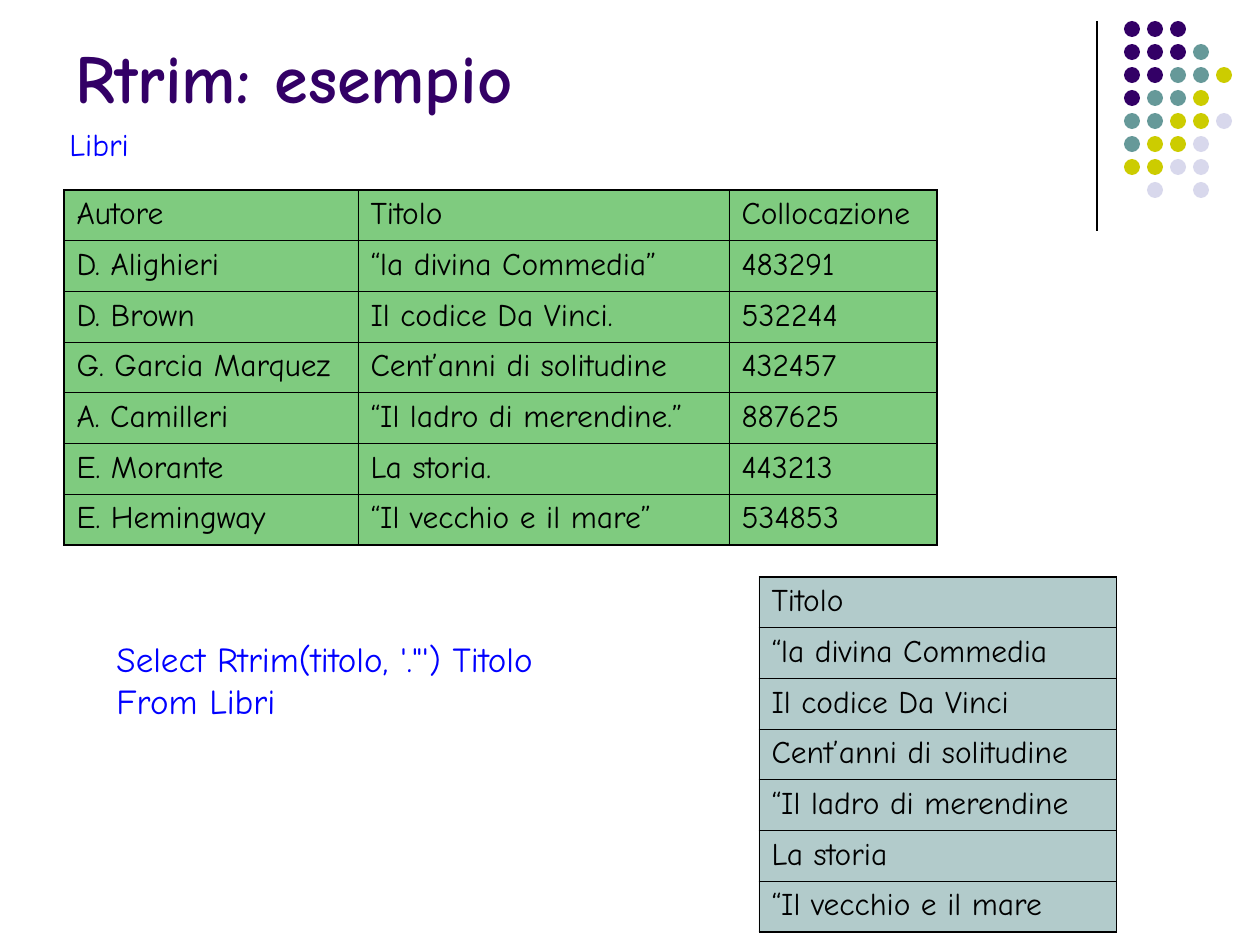
from lxml.etree import SubElement
from pptx import Presentation
from pptx.dml.color import RGBColor
from pptx.enum.shapes import MSO_CONNECTOR as Conn, MSO_SHAPE as Shape
from pptx.enum.text import MSO_ANCHOR as Anchor, MSO_AUTO_SIZE as Fit, PP_ALIGN as Align
from pptx.oxml import parse_xml
from pptx.oxml.ns import nsdecls, qn
from pptx.util import Pt

PX = 914400 / 126
FONT = "Comic Neue"
BLACK, BLUE, PURPLE, TEAL = "000000", "0000FF", "330066", "669999"
THIN, THICK = 0.45, 1.08


def box(*nums):
    return [round(n * PX) for n in nums]


def write(para, text, size, color, bold=False):
    run = para.add_run()
    run.text = text
    font = run.font
    font.name, font.size, font.bold = FONT, Pt(size), bold
    font.color.rgb = RGBColor.from_string(color)


prs = Presentation()
prs.slide_width, prs.slide_height = box(1260, 945)
slide = prs.slides.add_slide(prs.slide_layouts[5])
shapes = slide.shapes

# Corner rule and dots
x1, y1, x2, y2 = box(1097, 21, 1097, 231)
rule = shapes.add_connector(Conn.STRAIGHT, x1, y1, x2, y2)
rule.line.color.rgb = RGBColor.from_string(BLACK)
rule.line.width = Pt(0.75)
SubElement(rule._element.spPr, qn("a:effectLst"))

hues = {"P": PURPLE, "T": TEAL, "Y": "CCCC00", "L": "D8D8EC"}
dots = ["PPP", "PPPT", "PPTTY", "PTTY", "TTYYL", "TYYL", "YYLL", ".L.L"]
for r, line in enumerate(dots):
    for c, key in enumerate(line):
        if key in hues:
            dot = shapes.add_shape(Shape.OVAL, *box(1124 + 23 * c, 21 + 23 * r, 16, 16))
            dot.shadow.inherit = False
            dot.fill.solid()
            dot.fill.fore_color.rgb = RGBColor.from_string(hues[key])
            dot.line.fill.background()

# Title
title = shapes.title
title.left, title.top, title.width, title.height = box(63, -55, 1040, 179)
frame = title.text_frame
frame.auto_size = Fit.NONE
frame.vertical_anchor = Anchor.BOTTOM
frame.paragraphs[0].alignment = Align.LEFT
write(frame.paragraphs[0], "Rtrim: esempio", 39, PURPLE, True)

# Table name and query
labels = [
    ((57, 119, 92, 50), 18, ["Libri"]),
    ((104, 631, 450, 97), 20, ["Select Rtrim(titolo, '.\"') Titolo", "From Libri"]),
]
for place, size, lines in labels:
    frame = shapes.add_textbox(*box(*place)).text_frame
    frame.word_wrap = True
    frame.auto_size = Fit.NONE
    for i, line in enumerate(lines):
        para = frame.add_paragraph() if i else frame.paragraphs[0]
        write(para, line, size, BLUE)

# Source table and query result
books = [
    ["Autore", "Titolo", "Collocazione"],
    ["D. Alighieri", "“la divina Commedia”", "483291"],
    ["D. Brown", "Il codice Da Vinci.", "532244"],
    ["G. Garcia Marquez", "Cent’anni di solitudine", "432457"],
    ["A. Camilleri", "“Il ladro di merendine.”", "887625"],
    ["E. Morante", "La storia.", "443213"],
    ["E. Hemingway", "“Il vecchio e il mare”", "534853"],
]
result = [[row[1].rstrip(".”")] for row in books]
tables = [
    (books, 64, 190, [294, 371, 208], "009900", THICK),
    (result, 759, 577, [357], TEAL, THIN),
]
for rows, x, y, widths, color, side in tables:
    place = box(x, y, sum(widths), 355)
    table = shapes.add_table(len(rows), len(widths), *place).table
    table.first_row = table.horz_banding = False
    for col, width in zip(table.columns, box(*widths)):
        col.width = width
    for r, row in enumerate(rows):
        for c, text in enumerate(row):
            cell = table.cell(r, c)
            write(cell.text_frame.paragraphs[0], text, 18, BLACK)
            cell.fill.solid()
            cell.fill.fore_color.rgb = RGBColor.from_string(color)
            props = cell._tc.get_or_add_tcPr()
            tint = props.find(".//" + qn("a:srgbClr"))
            SubElement(tint, qn("a:alpha"), val="50000")
            # Heavier outer borders
            edges = {
                "L": side if c == 0 else THIN,
                "R": side if c == len(row) - 1 else THIN,
                "T": THICK if r == 0 else THIN,
                "B": THICK if r == len(rows) - 1 else THIN,
            }
            for i, (edge, width) in enumerate(edges.items()):
                props.insert(i, parse_xml(
                    f'<a:ln{edge} {nsdecls("a")} w="{Pt(width)}"><a:solidFill>'
                    f'<a:srgbClr val="{BLACK}"/></a:solidFill></a:ln{edge}>'))

prs.save("out.pptx")
